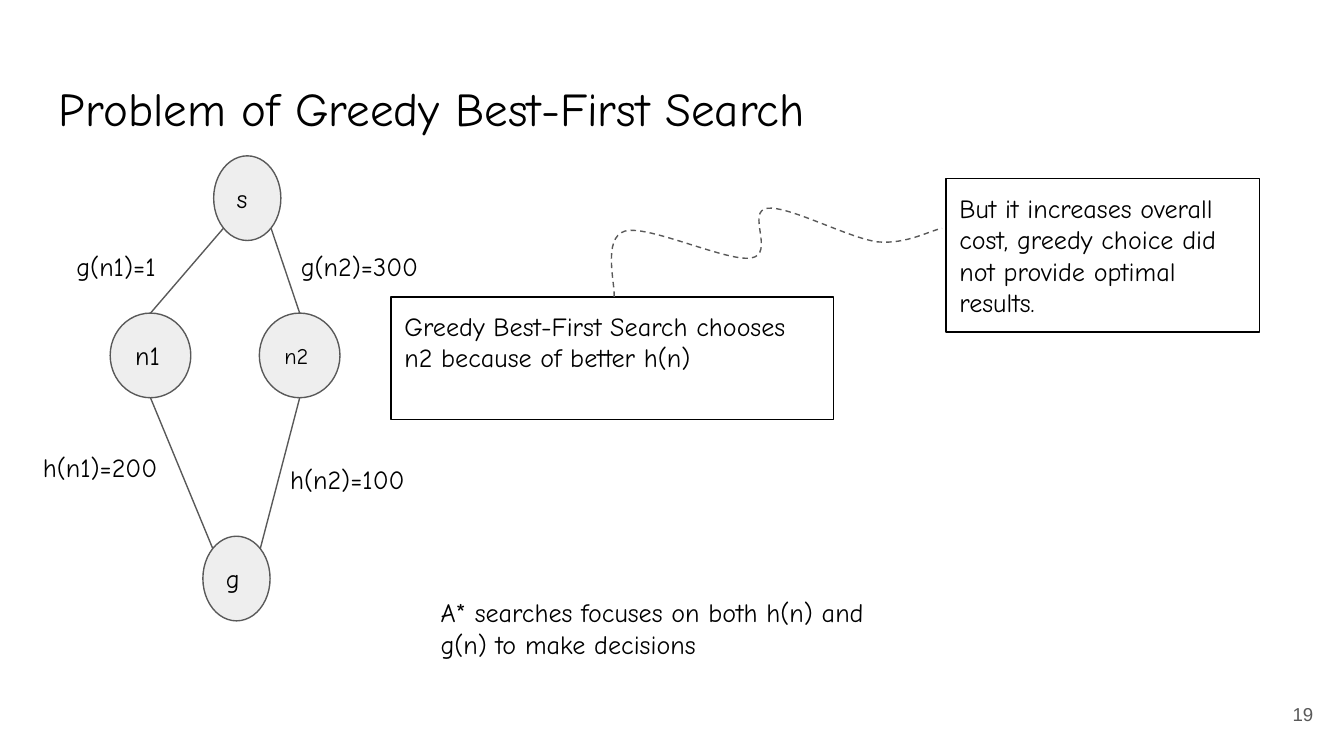
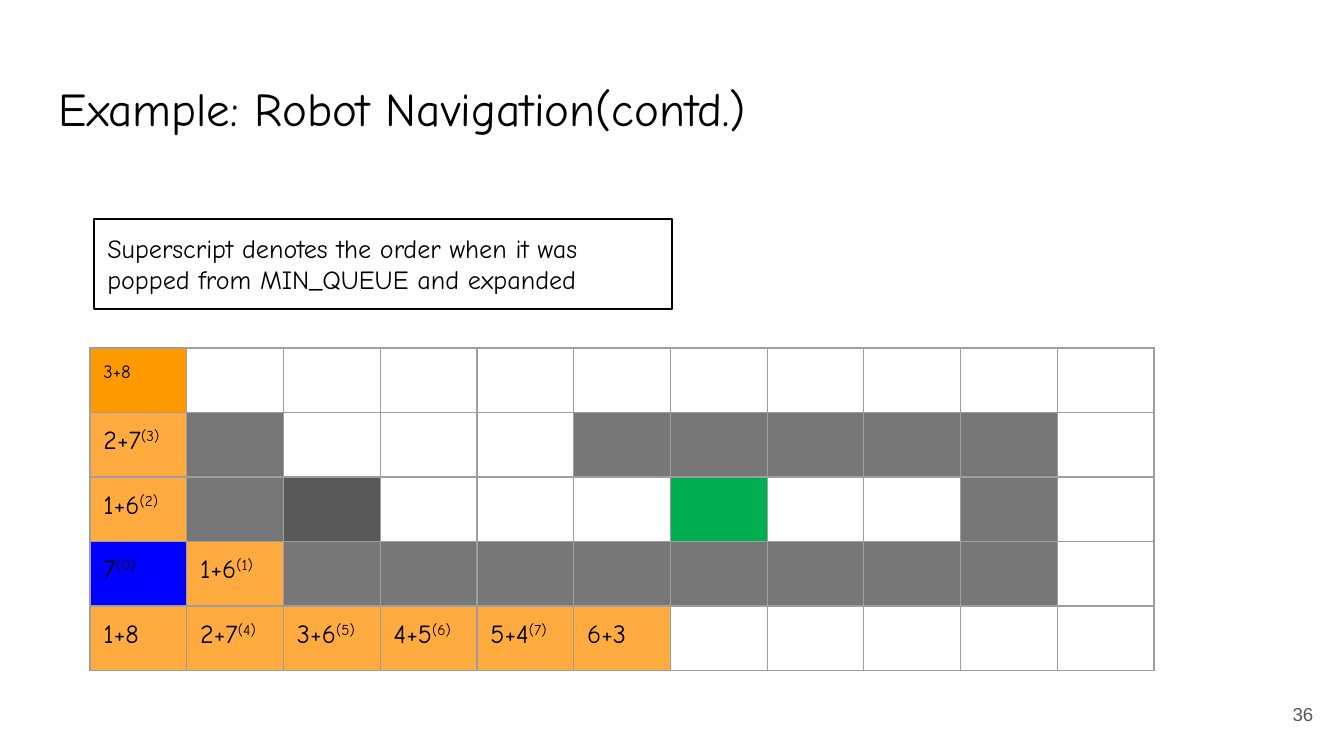
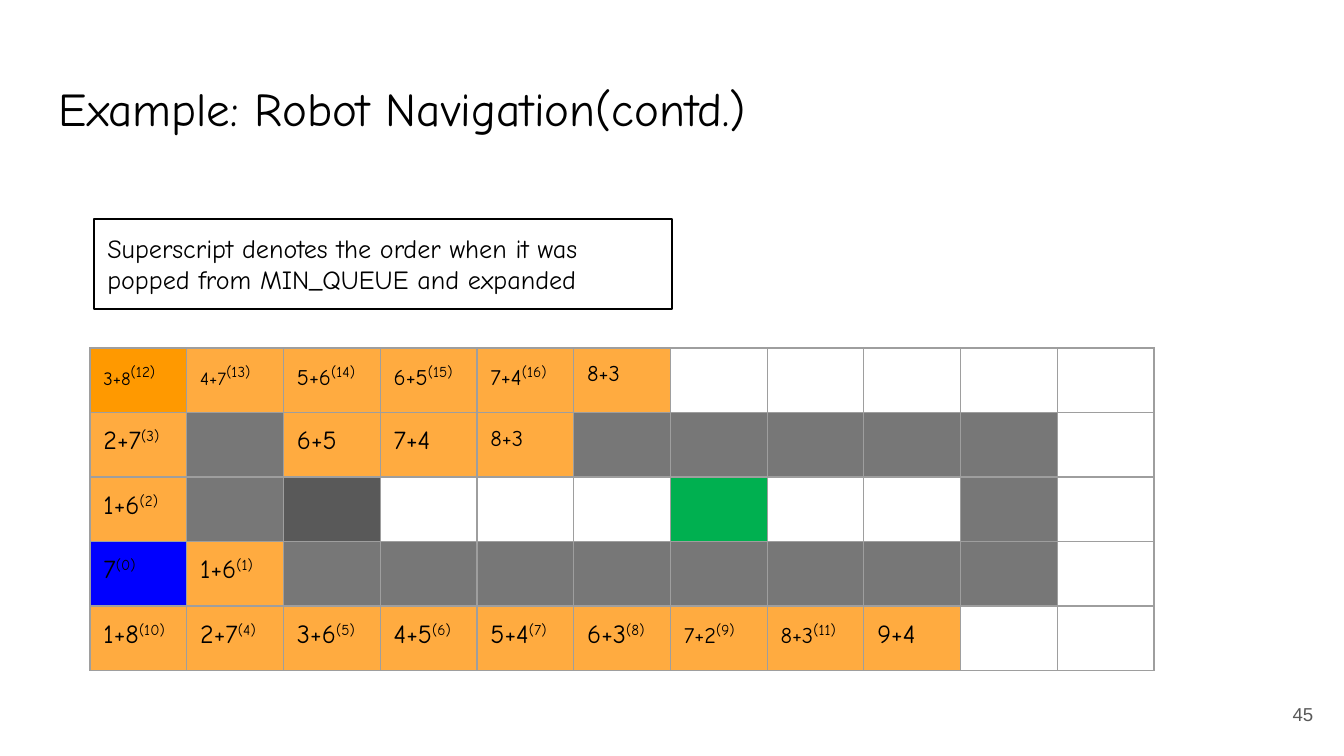
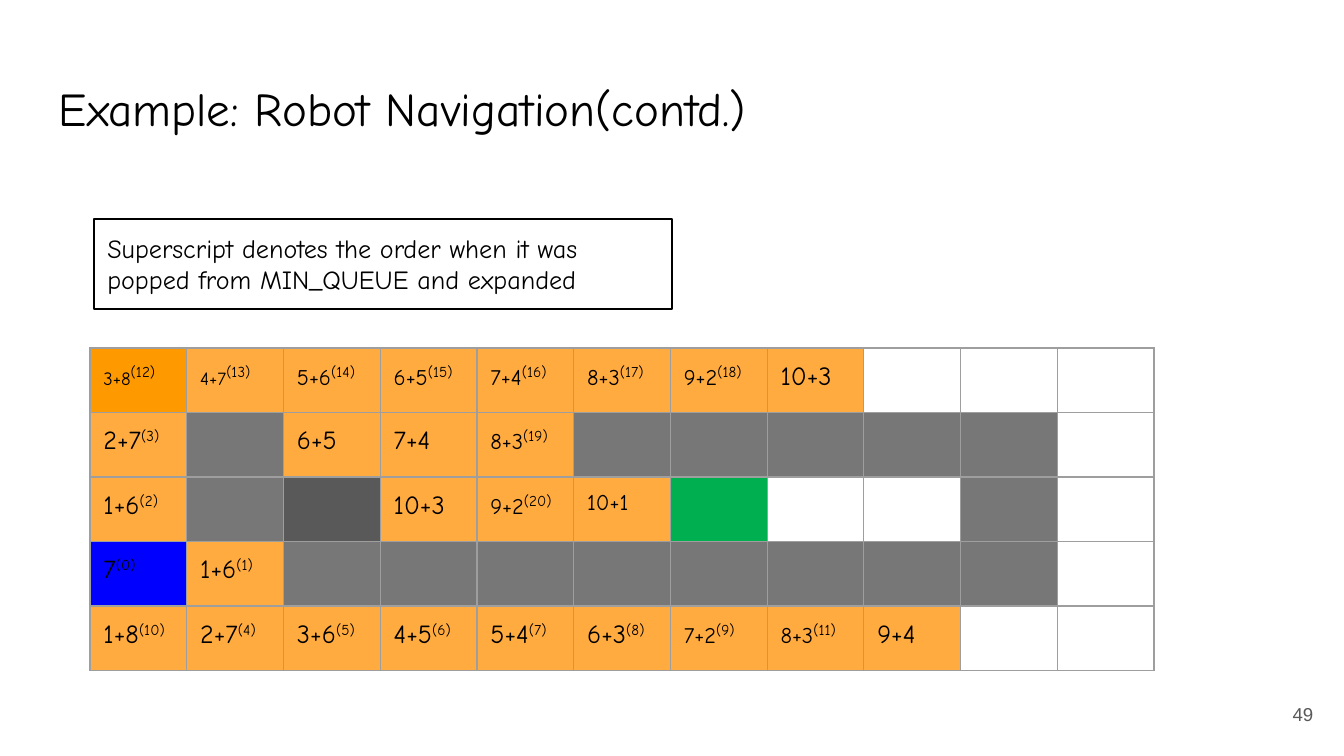
from dataclasses import dataclass
from math import cos, radians, sin

from lxml.etree import SubElement
from pptx import Presentation
from pptx.dml.color import RGBColor
from pptx.enum.dml import MSO_LINE
from pptx.enum.shapes import MSO_CONNECTOR, MSO_SHAPE
from pptx.enum.text import MSO_ANCHOR, PP_ALIGN
from pptx.oxml.ns import qn
from pptx.util import Inches, Pt


@dataclass(frozen=True)
class Theme:
    body_font: str = "Comic Neue"
    number_font: str = "Arial"
    ink: str = "000000"
    muted: str = "595959"
    node: str = "EEEEEE"
    grid: str = "9E9E9E"
    free: str = "FFFFFF"
    wall: str = "777777"
    dark_wall: str = "595959"
    goal: str = "00B050"
    start: str = "0000FF"
    reached: str = "FFAB40"
    corner: str = "FF9900"
    title_size: float = 25.2
    body_size: float = 14
    number_size: float = 10
    line_width: float = 0.75
    inset: float = 0.1


THEME = Theme()

# Slide frame: left, top, width, height
SLIDE_WIDTH = Inches(10)
SLIDE_HEIGHT = SLIDE_WIDTH * 9 // 16
TITLE_BOX = (0.34, 0.49, 9.32, 0.63)
NUMBER_BOX = (9.27, 5.1, 0.6, 0.43)

# Search graph: node -> (box, type size); edge -> node and angle at each end
GRAPH_TITLE, GRAPH_NUMBER = "Problem of Greedy Best-First Search", 19
NODES = {
    "s": ((1.59, 1.16, 0.5, 0.63), 14),
    "n1": ((0.82, 2.33, 0.6, 0.63), 14),
    "n2": ((1.93, 2.33, 0.6, 0.63), 12),
    "g": ((1.51, 3.99, 0.5, 0.63), 14),
}
TOP, BOTTOM = -90, 90
EDGES = [
    ("n1", BOTTOM, "g", -135),
    ("n2", BOTTOM, "g", -45),
    ("s", 135, "n1", TOP),
    ("s", 45, "n2", TOP),
]
EDGE_LABELS = [
    ("h(n2)=100", 2.06, 3.35),
    ("h(n1)=200", 0.22, 3.26),
    ("g(n1)=1", 0.47, 1.76),
    ("g(n2)=300", 2.14, 1.76),
]
EDGE_LABEL_SIZE = (1.47, 0.44)
REMARKS = [
    ("Greedy Best-First Search chooses n2 because of better h(n)", (2.91, 2.21, 3.29, 0.91)),
    ("But it increases overall cost, greedy choice did not provide optimal results.",
     (7.04, 1.33, 2.33, 1.14)),
]
CONCLUSION = ("A* searches focuses on both h(n) and g(n) to make decisions",
              (3.18, 4.34, 3.44, 0.67))
# Start point, then two control points and an end point per curve
REMARK_LINK = [
    (4.57, 2.21),
    (4.58, 2.12), (4.48, 1.77), (4.65, 1.72),
    (4.82, 1.67), (5.41, 1.95), (5.59, 1.92),
    (5.77, 1.89), (5.55, 1.57), (5.71, 1.55),
    (5.87, 1.53), (6.31, 1.77), (6.53, 1.8),
    (6.75, 1.82), (6.93, 1.71), (7.01, 1.7),
]

# Robot navigation: (slide number, last expansion done)
ROBOT_TITLE = "Example: Robot Navigation(contd.)"
ROBOT_STAGES = [(36, 7), (45, 16), (49, 20)]
LEGEND = ("Superscript denotes the order when it was popped from MIN_QUEUE and expanded",
          (0.7, 1.63, 4.3, 0.67))
MAZE_LEFT, MAZE_TOP, CELL_WIDTH, CELL_HEIGHT = 0.67, 2.59, 0.72, 0.48
# C corner, # wall, D dark wall, G goal, S start
MAZE = [
    "C..........",
    ".#...#####.",
    ".#D...G..#.",
    "S.########.",
    "...........",
]
TERRAIN_FILL = {".": THEME.free, "#": THEME.wall, "D": THEME.dark_wall,
                "G": THEME.goal, "S": THEME.start, "C": THEME.corner}
# (row, column) -> cost, expansion order, type size
COSTS = {
    (0, 0): ("3+8", 12, 10), (0, 1): ("4+7", 13, 10), (0, 2): ("5+6", 14, 12),
    (0, 3): ("6+5", 15, 12), (0, 4): ("7+4", 16, 12), (0, 5): ("8+3", 17, 12),
    (0, 6): ("9+2", 18, 12), (0, 7): ("10+3", None, 14),
    (1, 0): ("2+7", 3, 14), (1, 2): ("6+5", None, 14), (1, 3): ("7+4", None, 14),
    (1, 4): ("8+3", 19, 12),
    (2, 0): ("1+6", 2, 14), (2, 3): ("10+3", None, 14), (2, 4): ("9+2", 20, 12),
    (2, 5): ("10+1", None, 12),
    (3, 0): ("7", 0, 14), (3, 1): ("1+6", 1, 14),
    (4, 0): ("1+8", 10, 14), (4, 1): ("2+7", 4, 14), (4, 2): ("3+6", 5, 14),
    (4, 3): ("4+5", 6, 14), (4, 4): ("5+4", 7, 14), (4, 5): ("6+3", 8, 14),
    (4, 6): ("7+2", 9, 12), (4, 7): ("8+3", 11, 12), (4, 8): ("9+4", None, 14),
}


# Shared helpers
def rgb(value):
    return RGBColor.from_string(value)


def inches(values):
    return [Inches(value) for value in values]


def add_run(paragraph, text, size, color=THEME.ink, font=THEME.body_font):
    run = paragraph.add_run()
    run.text = text
    run.font.name, run.font.size = font, Pt(size)
    run.font.color.rgb = rgb(color)
    return run


def set_insets(target):
    target.margin_left = target.margin_right = Inches(THEME.inset)
    target.margin_top = target.margin_bottom = Inches(THEME.inset)


def write(shape, text, size=THEME.body_size, anchor=MSO_ANCHOR.TOP,
          align=PP_ALIGN.LEFT, **style):
    frame = shape.text_frame
    frame.word_wrap = True
    frame.vertical_anchor = anchor
    set_insets(frame)
    frame.paragraphs[0].alignment = align
    add_run(frame.paragraphs[0], text, size, **style)


def add_label(slide, text, box, **style):
    write(slide.shapes.add_textbox(*inches(box)), text, **style)


def style_line(line, color):
    line.color.rgb, line.width = rgb(color), Pt(THEME.line_width)


def style_outline(shape, color, fill=None):
    shape.shadow.inherit = False
    if fill:
        shape.fill.solid()
        shape.fill.fore_color.rgb = rgb(fill)
    else:
        shape.fill.background()
    style_line(shape.line, color)


def add_remark(slide, text, box):
    remark = slide.shapes.add_shape(MSO_SHAPE.RECTANGLE, *inches(box))
    style_outline(remark, THEME.ink)
    write(remark, text)


def add_slide(prs, title, number):
    slide = prs.slides.add_slide(prs.slide_layouts[6])
    add_label(slide, title, TITLE_BOX, size=THEME.title_size)
    add_label(slide, str(number), NUMBER_BOX, size=THEME.number_size,
              anchor=MSO_ANCHOR.MIDDLE, align=PP_ALIGN.RIGHT,
              color=THEME.muted, font=THEME.number_font)
    return slide


# Search graph
def rim_point(node, angle):
    left, top, width, height = NODES[node][0]
    return (left + width / 2 * (1 + cos(radians(angle))),
            top + height / 2 * (1 + sin(radians(angle))))


def add_edge(slide, origin, origin_angle, target, target_angle):
    edge = slide.shapes.add_connector(
        MSO_CONNECTOR.STRAIGHT,
        *inches(rim_point(origin, origin_angle) + rim_point(target, target_angle)))
    style_line(edge.line, THEME.muted)
    SubElement(edge._element.spPr, qn("a:effectLst"))


def add_dashed_curve(slide, points):
    first, *rest = [tuple(inches(point)) for point in points]
    builder = slide.shapes.build_freeform(*first)
    builder.add_line_segments(rest, close=False)
    curve = builder.convert_to_shape()
    style_outline(curve, THEME.muted)
    curve.line.dash_style = MSO_LINE.DASH
    # Every three straight segments become one cubic segment
    outline = curve._element.find(".//" + qn("a:path"))
    segments = outline.findall(qn("a:lnTo"))
    for i in range(0, len(segments), 3):
        cubic = SubElement(outline, qn("a:cubicBezTo"))
        for segment in segments[i:i + 3]:
            cubic.append(segment[0])
            outline.remove(segment)


def build_graph_slide(prs):
    slide = add_slide(prs, GRAPH_TITLE, GRAPH_NUMBER)
    for name, (box, size) in NODES.items():
        node = slide.shapes.add_shape(MSO_SHAPE.OVAL, *inches(box))
        style_outline(node, THEME.muted, THEME.node)
        write(node, name, size, anchor=MSO_ANCHOR.MIDDLE)
    for edge in EDGES:
        add_edge(slide, *edge)
    for text, left, top in EDGE_LABELS:
        add_label(slide, text, (left, top, *EDGE_LABEL_SIZE))
    for remark in REMARKS:
        add_remark(slide, *remark)
    add_dashed_curve(slide, REMARK_LINK)
    add_label(slide, *CONCLUSION)


# Robot navigation
def is_expanded(place, last):
    order = COSTS[place][1] if place in COSTS else None
    return order is not None and order <= last


def is_reached(place, last):
    """A cell is reached once it or one of its neighbours has been expanded."""
    row, column = place
    nearby = [place, (row - 1, column), (row + 1, column),
              (row, column - 1), (row, column + 1)]
    return place in COSTS and any(is_expanded(near, last) for near in nearby)


def style_cell(cell, fill):
    set_insets(cell)
    properties = cell._tc.get_or_add_tcPr()
    for side in ("lnL", "lnR", "lnT", "lnB"):
        border = SubElement(properties, qn(f"a:{side}"), w=str(Pt(THEME.line_width)))
        SubElement(SubElement(border, qn("a:solidFill")), qn("a:srgbClr"), val=THEME.grid)
    cell.fill.solid()
    cell.fill.fore_color.rgb = rgb(fill)


def fill_cell(cell, place, terrain, last):
    reached = is_reached(place, last)
    style_cell(cell, THEME.reached if reached and terrain == "." else TERRAIN_FILL[terrain])
    paragraph = cell.text_frame.paragraphs[0]
    if not reached:
        SubElement(paragraph._p, qn("a:endParaRPr"), sz=str(THEME.body_size * 100))
        return
    cost, order, size = COSTS[place]
    add_run(paragraph, cost, size)
    if is_expanded(place, last):
        superscript = add_run(paragraph, f"({order})", THEME.body_size)
        superscript.font._element.set("baseline", "30000")


def build_robot_slide(prs, number, last):
    slide = add_slide(prs, ROBOT_TITLE, number)
    rows, columns = len(MAZE), len(MAZE[0])
    maze = slide.shapes.add_table(rows, columns, *inches(
        (MAZE_LEFT, MAZE_TOP, columns * CELL_WIDTH, rows * CELL_HEIGHT))).table
    maze.first_row = maze.horz_banding = False
    for column in maze.columns:
        column.width = Inches(CELL_WIDTH)
    for r, terrains in enumerate(MAZE):
        maze.rows[r].height = Inches(CELL_HEIGHT)
        for c, terrain in enumerate(terrains):
            fill_cell(maze.cell(r, c), (r, c), terrain, last)
    add_remark(slide, *LEGEND)


def main():
    prs = Presentation()
    prs.slide_width, prs.slide_height = SLIDE_WIDTH, SLIDE_HEIGHT
    build_graph_slide(prs)
    for number, last in ROBOT_STAGES:
        build_robot_slide(prs, number, last)
    prs.save("out.pptx")


if __name__ == "__main__":
    main()
